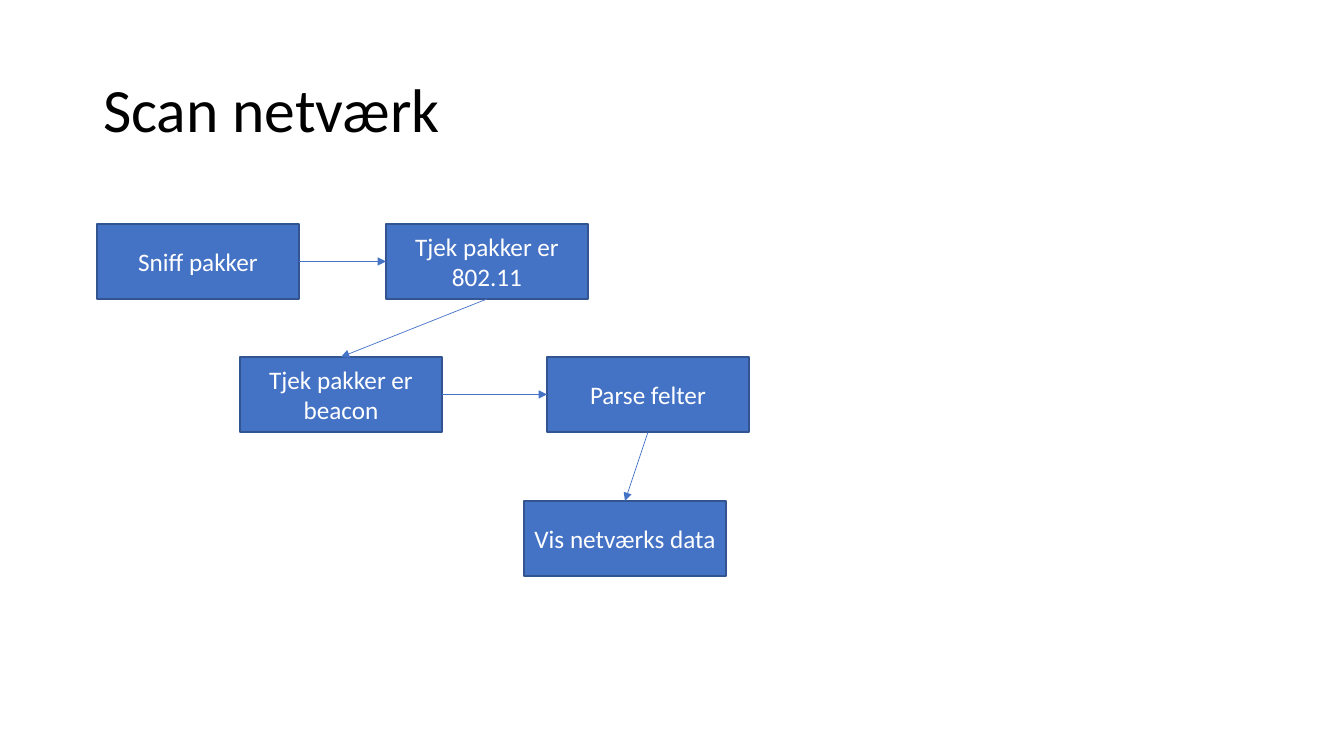
from lxml import etree
from pptx import Presentation
from pptx.dml.color import RGBColor
from pptx.enum.shapes import MSO_CONNECTOR as CONNECTOR, MSO_SHAPE as SHAPE
from pptx.enum.text import MSO_ANCHOR as ANCHOR, PP_ALIGN as ALIGN
from pptx.oxml.ns import qn
from pptx.util import Pt

# Content: flow steps as (text, left, top), in pixels
TITLE = "Scan netværk"
STEPS = [
    ("Sniff pakker", 97, 224),
    ("Tjek pakker er 802.11", 386, 224),
    ("Tjek pakker er beacon", 240, 357),
    ("Parse felter", 547, 357),
    ("Vis netværks data", 524, 501),
]
STEP_SIZE = (202, 75)
TITLE_AREA = (93, 40, 1159, 146)
PAGE_SIZE = (1344, 756)
FONT = "Calibri"
BLUE, DARK_BLUE, WHITE, BLACK = "4472C4", "325491", "FFFFFF", "000000"
TOP, LEFT, BOTTOM, RIGHT = range(4)  # connection sites of a rectangle


def px(*values):
    return [round(value * 914400 / 100.8) for value in values]


def color(code):
    return RGBColor.from_string(code)


def write(shape, text, size, code, align):
    frame = shape.text_frame
    frame.word_wrap = True
    frame.vertical_anchor = ANCHOR.MIDDLE
    para = frame.paragraphs[0]
    para.text = text
    para.alignment = align
    para.font.name = FONT
    para.font.size = Pt(size)
    para.font.color.rgb = color(code)
    return para


def add_step(page, text, left, top):
    box = page.shapes.add_shape(SHAPE.RECTANGLE, *px(left, top, *STEP_SIZE))
    box.shadow.inherit = False
    box.fill.solid()
    box.fill.fore_color.rgb = color(BLUE)
    box.line.color.rgb = color(DARK_BLUE)
    box.line.width = Pt(1)
    write(box, text, 18, WHITE, ALIGN.CENTER)
    return box


def add_arrow(page, start, end):
    same_row = start.top == end.top
    arrow = page.shapes.add_connector(CONNECTOR.STRAIGHT, 0, 0, 0, 0)
    arrow.begin_connect(start, RIGHT if same_row else BOTTOM)
    arrow.end_connect(end, LEFT if same_row else TOP)
    arrow.line.color.rgb = color(BLUE)
    arrow.line.width = Pt(0.5)
    etree.SubElement(arrow.line._get_or_add_ln(), qn("a:tailEnd"), type="triangle")
    etree.SubElement(arrow._element.spPr, qn("a:effectLst"))


deck = Presentation()
deck.slide_width, deck.slide_height = px(*PAGE_SIZE)
page = deck.slides.add_slide(deck.slide_layouts[5])

# Title
title = page.shapes.title
title.left, title.top, title.width, title.height = px(*TITLE_AREA)
write(title, TITLE, 44, BLACK, ALIGN.LEFT).line_spacing = 0.9

# Steps, each joined to the next by an arrow
boxes = [add_step(page, *step) for step in STEPS]
for start, end in zip(boxes, boxes[1:]):
    add_arrow(page, start, end)

deck.save("out.pptx")
